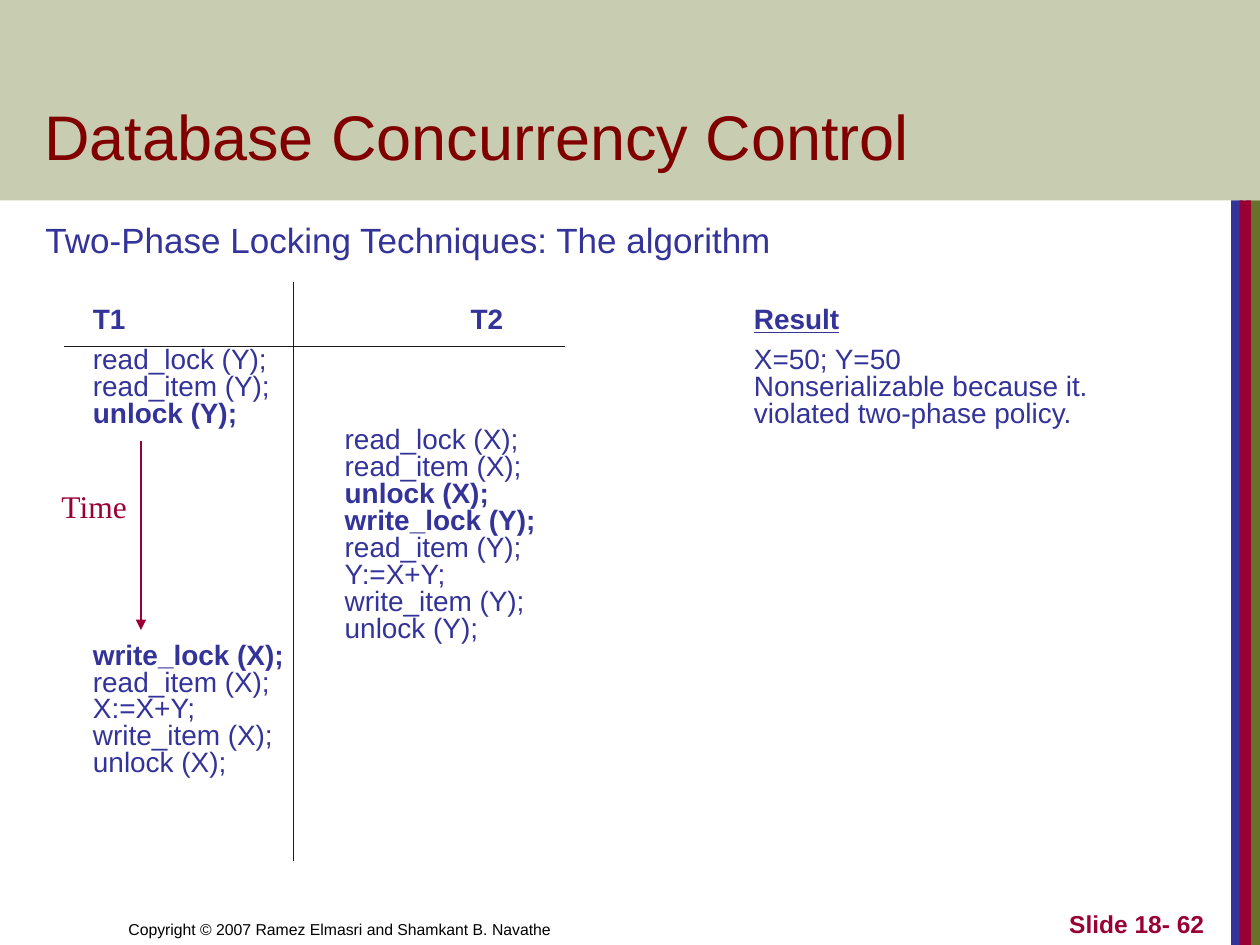
from dataclasses import dataclass

from lxml import etree
from pptx import Presentation
from pptx.dml.color import RGBColor
from pptx.enum.shapes import MSO_CONNECTOR, MSO_SHAPE
from pptx.enum.text import MSO_ANCHOR, MSO_AUTO_SIZE, PP_ALIGN
from pptx.oxml.ns import qn
from pptx.util import Cm, Pt

RECTANGLE = MSO_SHAPE.RECTANGLE
STRAIGHT = MSO_CONNECTOR.STRAIGHT
TOP, BOTTOM = MSO_ANCHOR.TOP, MSO_ANCHOR.BOTTOM
LEFT, RIGHT = PP_ALIGN.LEFT, PP_ALIGN.RIGHT
NO_AUTOFIT = MSO_AUTO_SIZE.NONE

NAVY, MAROON, OLIVE = "333399", "990033", "677228"
DARK_RED, RULE_GREY, BLACK = "800000", "1C1C1C", "000000"
ROW = 15.35           # line pitch of the schedule, points
HEADER_GAP = 7.5      # space between a column header and its first row
INDENT = 0.96         # body text indent, centimetres
COLUMN_TOP = 6.21     # top of the column headers, centimetres


@dataclass
class Line:
    text: str
    bold: bool = False
    underline: bool = False
    before: float = 0
    indent: float = 0


@dataclass
class Band:
    left: float
    top: float
    width: float
    height: float
    color: str
    opacity: int = 100


@dataclass
class Rule:
    start: tuple[float, float]
    end: tuple[float, float]
    color: str
    width: float
    arrow: bool = False


BANDS = [
    Band(25.12, 4.04, 0.28, 15.01, OLIVE),
    Band(24.82, 4.04, 0.23, 15.01, NAVY),
    Band(24.99, 4.04, 0.23, 15.01, MAROON),
    Band(0, 0, 25.4, 4.04, OLIVE, opacity=36),
]

RULES = [
    Rule((2.84, 8.89), (2.84, 12.7), MAROON, 1, arrow=True),
    Rule((5.92, 5.69), (5.92, 17.35), RULE_GREY, 0.75),
    Rule((1.3, 6.99), (11.38, 6.99), RULE_GREY, 0.75),
]

# T1 pauses for the eight rows of T2
T1 = [
    Line("T1", bold=True, before=27.2, indent=INDENT),
    Line("read_lock (Y);", before=HEADER_GAP, indent=INDENT),
    Line("read_item (Y);", indent=INDENT),
    Line("unlock (Y);", bold=True, indent=INDENT),
    Line("write_lock (X);", bold=True, before=8 * ROW, indent=INDENT),
    Line("read_item (X);", indent=INDENT),
    Line("X:=X+Y;", indent=INDENT),
    Line("write_item (X);", indent=INDENT),
    Line("unlock (X);", indent=INDENT),
]

# T2 starts after the first three rows of T1
T2 = [
    Line("T2", bold=True, indent=2.54),
    Line("read_lock (X);", before=HEADER_GAP + 3 * ROW),
    Line("read_item (X);"),
    Line("unlock (X);", bold=True),
    Line("write_lock (Y);", bold=True),
    Line("read_item (Y);"),
    Line("Y:=X+Y;"),
    Line("write_item (Y);"),
    Line("unlock (Y);"),
]

RESULT = [
    Line("Result", bold=True, underline=True),
    Line("X=50; Y=50", before=HEADER_GAP),
    Line("Nonserializable because it."),
    Line("violated two-phase policy."),
]


def rgb(color: str) -> RGBColor:
    return RGBColor.from_string(color)


def write(paragraph, text: str, *, size: float, color: str, font: str = "Arial",
          bold: bool = False, underline: bool = False, align=LEFT,
          spacing=None, before: float = 0, indent: float = 0,
          hanging: float = 0) -> None:
    """Fill one paragraph with formatted, unbulleted text."""
    run = paragraph.add_run()
    run.text = text
    run.font.name = font
    run.font.size = Pt(size)
    run.font.bold = bold
    run.font.underline = underline
    run.font.color.rgb = rgb(color)
    paragraph.alignment = align
    paragraph.space_before = Pt(before)
    if spacing:
        paragraph.line_spacing = Pt(spacing)
    properties = paragraph._p.get_or_add_pPr()
    properties.set("marL", str(Cm(indent)))
    properties.set("indent", str(-Cm(hanging)))
    etree.SubElement(properties, qn("a:buNone"))


def place(shape, left: float, top: float, width: float, height: float) -> None:
    shape.left, shape.top = Cm(left), Cm(top)
    shape.width, shape.height = Cm(width), Cm(height)


def set_frame(frame, anchor=TOP, wrap: bool = True) -> None:
    frame.auto_size = NO_AUTOFIT
    frame.word_wrap = wrap
    frame.vertical_anchor = anchor


def add_text(slide, box: tuple, text: str, *, anchor=TOP, wrap: bool = True,
             **text_format) -> None:
    frame = slide.shapes.add_textbox(*map(Cm, box)).text_frame
    set_frame(frame, anchor, wrap)
    write(frame.paragraphs[0], text, **text_format)


def write_lines(frame, lines: list[Line]) -> None:
    for line in lines:
        first = frame.paragraphs[0]
        paragraph = frame.add_paragraph() if first.runs else first
        write(paragraph, line.text, size=16, color=NAVY, bold=line.bold,
              underline=line.underline, spacing=ROW, before=line.before,
              indent=line.indent)


def add_column(slide, left: float, width: float, lines: list[Line]) -> None:
    box = slide.shapes.add_textbox(Cm(left), Cm(COLUMN_TOP), Cm(width), Cm(10.5))
    frame = box.text_frame
    set_frame(frame)
    frame.margin_left = frame.margin_right = 0
    frame.margin_top = frame.margin_bottom = 0
    write_lines(frame, lines)


def add_band(slide, band: Band) -> None:
    shape = slide.shapes.add_shape(RECTANGLE, Cm(band.left), Cm(band.top),
                                   Cm(band.width), Cm(band.height))
    shape.shadow.inherit = False
    shape.fill.solid()
    shape.fill.fore_color.rgb = rgb(band.color)
    shape.line.fill.background()
    if band.opacity < 100:
        color = shape.element.spPr.find(qn("a:solidFill"))[0]
        etree.SubElement(color, qn("a:alpha"), val=str(band.opacity * 1000))


def add_rule(slide, rule: Rule) -> None:
    connector = slide.shapes.add_connector(
        STRAIGHT, *map(Cm, rule.start), *map(Cm, rule.end))
    connector.line.color.rgb = rgb(rule.color)
    connector.line.width = Pt(rule.width)
    properties = connector.element.spPr
    if rule.arrow:
        etree.SubElement(properties.find(qn("a:ln")), qn("a:tailEnd"), type="triangle")
    etree.SubElement(properties, qn("a:effectLst"))


def main() -> None:
    presentation = Presentation()
    presentation.slide_width, presentation.slide_height = Cm(25.4), Cm(19.05)
    slide = presentation.slides.add_slide(presentation.slide_layouts[1])
    title, body = slide.placeholders

    # Header band and side stripes, kept behind the placeholders
    for band in BANDS:
        add_band(slide, band)
    for placeholder in (title, body):
        placeholder.element.getparent().append(placeholder.element)

    # Footer
    add_text(slide, (2.34, 17.78, 12.5, 1.27),
             "Copyright © 2007 Ramez Elmasri and Shamkant B. Navathe",
             size=9, color=BLACK, anchor=BOTTOM)
    add_text(slide, (19.25, 17.78, 5.28, 1.27), "Slide 18- 62",
             size=14, color=MAROON, bold=True, align=RIGHT, anchor=BOTTOM)

    # Title
    place(title, 0.64, 0.84, 21.67, 2.77)
    set_frame(title.text_frame, BOTTOM)
    write(title.text_frame.paragraphs[0], "Database Concurrency Control",
          size=36, color=DARK_RED)

    # Heading and the three schedule columns
    place(body, 0.66, 4.45, 23.04, 12.7)
    set_frame(body.text_frame)
    write(body.text_frame.paragraphs[0], "Two-Phase Locking Techniques: The algorithm",
          size=20, color=NAVY, spacing=19.2, indent=INDENT, hanging=INDENT)
    write_lines(body.text_frame, T1)
    add_column(slide, 6.95, 6, T2)
    add_column(slide, 15.2, 8.5, RESULT)

    # Time arrow and table rules
    for rule in RULES:
        add_rule(slide, rule)
    add_text(slide, (0.99, 9.7, 1.85, 1.02), "Time", size=18, color=MAROON,
             font="Times New Roman", wrap=False)

    presentation.save("out.pptx")


if __name__ == "__main__":
    main()
